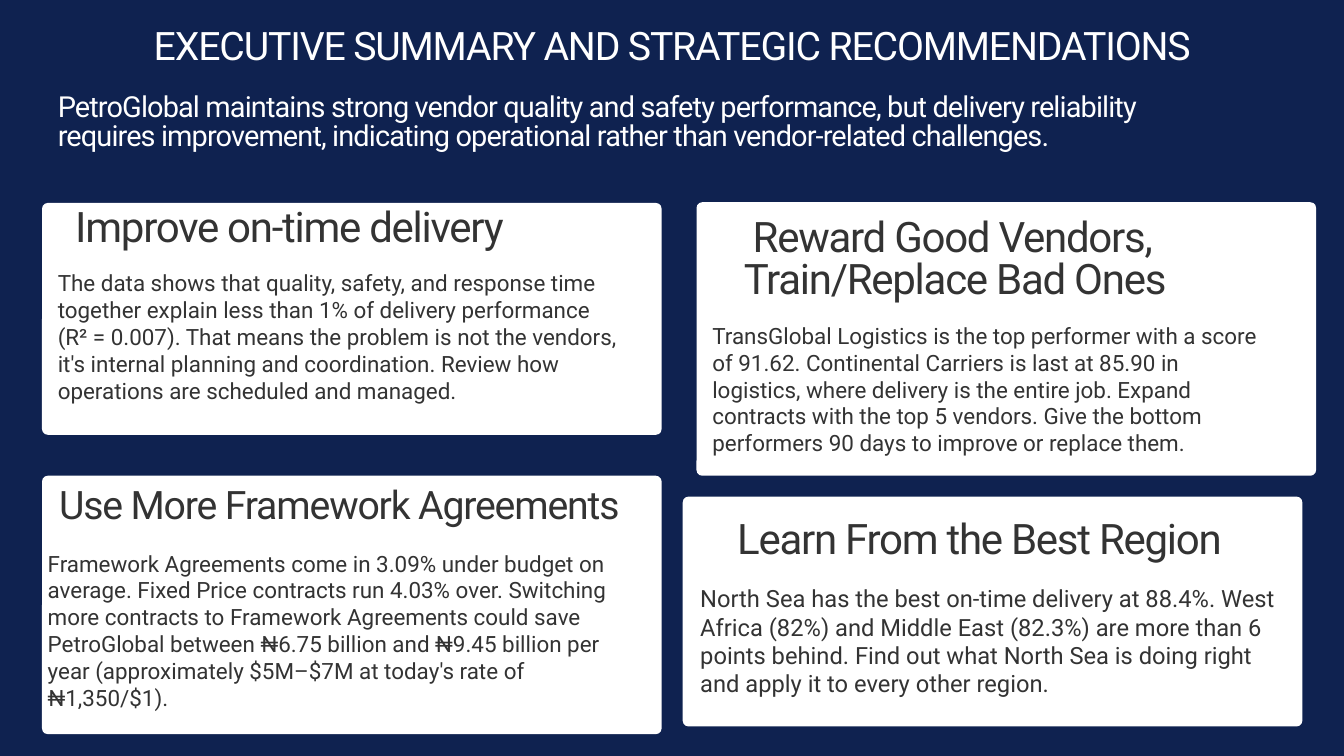
from dataclasses import dataclass

from pptx import Presentation
from pptx.dml.color import RGBColor
from pptx.enum.shapes import MSO_SHAPE as Shape
from pptx.enum.text import MSO_AUTO_SIZE as AutoSize, PP_ALIGN as Align
from pptx.util import Inches, Pt

COLS, ROWS = 80, 45


@dataclass(frozen=True)
class Theme:
    navy: str = "0F2250"
    white: str = "FFFFFF"
    ink: str = "333333"
    font: str = "Roboto"
    title: float = 42
    lead: float = 31
    heading: float = 45
    body: float = 24
    body_large: float = 25.4
    tight: float = -0.03  # letter spacing of headings, share of type size
    body_leading: float = 1.2
    card_radius: float = 0.34  # rows
    heading_indent: float = 0.52  # columns


class Deck:
    def __init__(self, theme):
        self.theme = theme
        self.prs = Presentation()
        self.prs.slide_width, self.prs.slide_height = Inches(20), Inches(11.25)
        self.s = self.prs.slides.add_slide(self.prs.slide_layouts[6])
        fill = self.s.background.fill
        fill.solid()
        fill.fore_color.rgb = RGBColor.from_string(theme.navy)

    def x(self, cols):
        return round(self.prs.slide_width * cols / COLS)

    def y(self, rows):
        return round(self.prs.slide_height * rows / ROWS)

    def box(self, left, top, width, height):
        return self.x(left), self.y(top), self.x(width), self.y(height)

    def card(self, area):
        sp = self.s.shapes.add_shape(Shape.ROUNDED_RECTANGLE, *self.box(*area))
        sp.adjustments[0] = self.theme.card_radius / min(area[2:])
        sp.shadow.inherit = False
        sp.fill.solid()
        sp.fill.fore_color.rgb = RGBColor.from_string(self.theme.white)
        sp.line.fill.background()

    def text(self, area, text, size, color, leading=1, tracking=0, indent=0,
             align=Align.LEFT):
        """Leading and tracking are shares of the type size; indent is in columns."""
        tf = self.s.shapes.add_textbox(*self.box(*area)).text_frame
        tf.margin_left = tf.margin_right = tf.margin_top = tf.margin_bottom = 0
        tf.word_wrap = True
        tf.auto_size = AutoSize.SHAPE_TO_FIT_TEXT
        p = tf.paragraphs[0]
        p.text = text
        p.alignment = align
        p.line_spacing = Pt(size * leading)
        if indent:
            p._p.get_or_add_pPr().set("indent", str(self.x(indent)))
        r = p.runs[0]
        r.font.name = self.theme.font
        r.font.size = Pt(size)
        r.font.color.rgb = RGBColor.from_string(color)
        if tracking:
            r._r.get_or_add_rPr().set("spc", str(round(size * tracking * 100)))

    def display(self, area, text, size, color, **options):
        self.text(area, text, size, color, tracking=self.theme.tight, **options)

    def body(self, area, text, size):
        self.text(area, text, size, self.theme.ink, self.theme.body_leading)


@dataclass
class Recommendation:
    card: tuple
    heading_area: tuple
    heading: str
    body_area: tuple
    body: str
    heading_size: float = Theme.heading
    body_size: float = Theme.body
    indent: float = 0


CARD_WIDTH = 36.88
LEFT_EDGE = 2.5

RECOMMENDATIONS = [
    Recommendation(
        (LEFT_EDGE, 12.08, CARD_WIDTH, 13.8),
        (4.48, 12.44, 28.96, 2.68), "Improve on-time delivery",
        (3.44, 16.04, 33.68, 7.92),
        "The data shows that quality, safety, and response time together explain "
        "less than 1% of delivery performance (R² = 0.007). That means the problem "
        "is not the vendors, it's internal planning and coordination. Review how "
        "operations are scheduled and managed."),
    Recommendation(
        (41.46, 12.04, CARD_WIDTH, 16.28),
        (44.28, 13, 31.24, 5.24), "Reward Good Vendors, Train/Replace Bad Ones",
        (42.4, 19.16, 33.12, 10.6),
        "TransGlobal Logistics is the top performer with a score of 91.62. "
        "Continental Carriers is last at 85.90 in logistics, where delivery is the "
        "entire job. Expand contracts with the top 5 vendors. Give the bottom "
        "performers 90 days to improve or replace them.",
        indent=Theme.heading_indent),
    Recommendation(
        (LEFT_EDGE, 28.32, CARD_WIDTH, 15.38),
        (3.52, 29.08, 34.92, 2.56), "Use More Framework Agreements",
        (2.84, 32.72, 35.6, 9.52),
        "Framework Agreements come in 3.09% under budget on average. Fixed Price "
        "contracts run 4.03% over. Switching more contracts to Framework Agreements "
        "could save PetroGlobal between ₦6.75 billion and ₦9.45 billion per year "
        "(approximately $5M–$7M at today's rate of ₦1,350/$1).",
        heading_size=Theme.title),
    Recommendation(
        (40.64, 29.56, CARD_WIDTH, 13.68),
        (43.36, 31, 31.44, 2.76), "Learn From the Best Region",
        (41.68, 34.76, 34.72, 6.64),
        "North Sea has the best on-time delivery at 88.4%. West Africa (82%) and "
        "Middle East (82.3%) are more than 6 points behind. Find out what North Sea "
        "is doing right and apply it to every other region.",
        body_size=Theme.body_large, indent=Theme.heading_indent),
]


def main():
    theme = Theme()
    deck = Deck(theme)
    deck.display((LEFT_EDGE, 1.76, COLS - 2 * LEFT_EDGE, 2.48),
                 "EXECUTIVE SUMMARY AND STRATEGIC RECOMMENDATIONS",
                 theme.title, theme.white, align=Align.CENTER)
    deck.display((3.44, 5.64, 69.56, 3.52),
                 "PetroGlobal maintains strong vendor quality and safety performance, "
                 "but delivery reliability requires improvement, indicating "
                 "operational rather than vendor-related challenges.",
                 theme.lead, theme.white)
    for item in RECOMMENDATIONS:
        deck.card(item.card)
        deck.display(item.heading_area, item.heading, item.heading_size, theme.ink,
                     indent=item.indent)
        deck.body(item.body_area, item.body, item.body_size)
    deck.prs.save("out.pptx")


if __name__ == "__main__":
    main()
